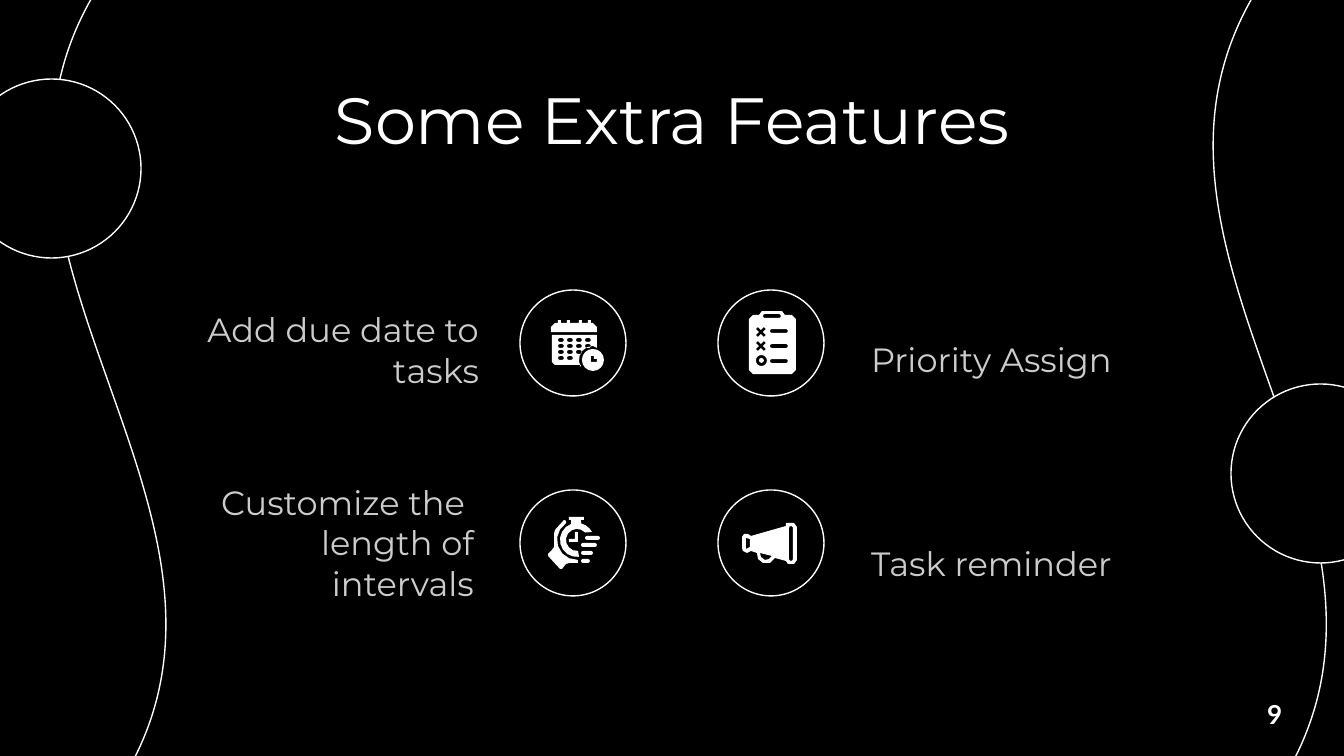
from math import cos, radians, sin

from pptx import Presentation
from pptx.dml.color import RGBColor
from pptx.enum.shapes import MSO_SHAPE as S
from pptx.enum.text import MSO_ANCHOR, MSO_AUTO_SIZE, PP_ALIGN
from pptx.util import Pt

PX = 914400 / 134.4
FINE = 10  # outline steps in one px
WHITE, BLACK, GREY = "FFFFFF", "000000", "CCCCCC"
LEFT, CENTER, RIGHT = PP_ALIGN.LEFT, PP_ALIGN.CENTER, PP_ALIGN.RIGHT

TITLE = ("Some Extra Features", (106, 65, 1133, 85))
CAPTIONS = [
    ("Add due date to tasks", (183, 273, 310, 131), RIGHT),
    ("Priority Assign", (857, 286, 290, 107), LEFT),
    ("Customize the  length of intervals", (196, 507, 292, 110), RIGHT),
    ("Task reminder", (857, 486, 290, 111), LEFT),
]
NUMBER = ("9", (1253, 691, 43, 46))

WAVE = (275, -254, 829, 1278)
BALLS = [(-38, 79, 179, 179), (1231, 384, 179, 179)]
RINGS = [(x, y, 106, 106) for y in (490, 290) for x in (520, 718)]


def arc(x, y, r, start, end, steps):
    """Points along a circle, in degrees clockwise from the right."""
    turns = [radians(start + (end - start) * i / steps)
             for i in range(steps + 1)]
    return [(x + r * cos(t), y + r * sin(t)) for t in turns]


def soft(x, y, w, h, r=None):
    """Outline of a box with round corners, fully round by default."""
    r = min(w, h) / 2 if r is None else r
    steps = 4 if r > 4 else 2
    hubs = [(x + w - r, y + h - r), (x + r, y + h - r),
            (x + r, y + r), (x + w - r, y + r)]
    return [p for i, hub in enumerate(hubs)
            for p in arc(*hub, r, 90 * i, 90 * i + 90, steps)]


def cross(x, y):
    """Outline of an x mark around its centre."""
    return [(x + a, y + b) for a, b in (
        (-3, -5), (0, -2), (3, -5), (5, -3), (2, 0), (5, 3),
        (3, 5), (0, 2), (-3, 5), (-5, 3), (-2, 0), (-5, -3))]


# An icon is a list of parts, a part is a list of outlines: inner ones are holes.
MEGAPHONE = [[
    [(751, 536), (786, 526), (786, 523), (789, 523), (794, 523), (797, 527),
     (797, 560), (794, 564), (788, 564), (786, 561), (775, 558), (770, 563),
     (763, 563), (758, 559), (757, 553), (751, 551), (747, 553), (743, 551),
     (742, 548), (742, 537), (744, 534), (748, 534)],
    [(746, 538), (750, 539), (750, 547), (746, 549)],
    [(760, 553), (772, 556), (769, 559), (765, 560), (761, 557)],
    soft(789, 526, 4, 35),
]]

HUB = (577, 540)
WATCH = [
    [[(569, 520), (569, 517), (584, 517), (584, 520), (581, 520),
      *arc(*HUB, 17, 284, 332, 3), *arc(*HUB, 11, 318, 85, 9),
      *arc(*HUB, 17, 83, 250, 8), (571, 520)]],
    [[(575, 532), (578, 532), (578, 542), (569, 542), (569, 539),
      (575, 539)]],
    *[[soft(x, y, w, 4)] for x, y, w in (
        (585, 536, 15), (581, 543, 16), (581, 551, 12), (581, 559, 9))],
    [[(564, 520), (555, 530), (554, 534), (554, 547), (552, 550),
      (548, 554), (548, 556), (560, 569), (562, 569), (566, 564),
      (570, 563), (578, 563), *arc(*HUB, 20, 88, 237, 6), (566, 521)]],
]

DAYS = [(c, r) for r, n in enumerate((4, 4, 3, 2)) for c in range(n)]
TICKS = [(558, 561), (567, 570), (579, 582), (588, 591)]
CALENDAR = [
    [soft(582, 349, 22, 22),
     [(591, 356), (594, 356), (594, 359), (597, 359), (597, 362),
      (591, 362)]],
    [[(552, 335), (597, 335), (597, 348), *arc(593, 360, 14, 270, 150, 5),
      (581, 365), (555, 365), (552, 362)],
     *[soft(558 + 9 * c, 338 + 6 * r, 6, 4) for c, r in DAYS]],
    [[(551, 332), (551, 327), (555, 323),
      *[p for a, b in TICKS
        for p in ((a, 323), (a, 320), (b, 320), (b, 323))],
      (593, 323), (597, 327), (597, 332)]],
]

CHECKLIST = [
    [[(759, 315), (762, 311), (782, 311), (785, 315), (792, 315), (796, 319),
      (796, 370), (792, 374), (753, 374), (749, 370), (749, 319), (753, 315)],
     soft(763, 314, 18, 4),
     *[soft(770, 329 + 15 * i, 18, 4) for i in range(3)],
     cross(761, 332), cross(761, 346), soft(756, 355, 11, 11)],
    [soft(759, 358, 5, 5)],
]
ICONS = [MEGAPHONE, WATCH, CALENDAR, CHECKLIST]


def rgb(color):
    return RGBColor.from_string(color)


def emu(box):
    return [round(v * PX) for v in box]


def paint(shape, fill, line=None):
    shape.shadow.inherit = False
    shape.fill.solid()
    shape.fill.fore_color.rgb = rgb(fill)
    if line:
        shape.line.color.rgb = rgb(line)
        shape.line.width = Pt(0.75)
    else:
        shape.line.fill.background()
    return shape


def outline(shapes, kind, box):
    return paint(shapes.add_shape(kind, *emu(box)), BLACK, WHITE)


def draw(shapes, part):
    """Add one icon part as a single freeform."""
    rings = [[(round(x * FINE), round(y * FINE)) for x, y in ring]
             for ring in part]
    first, *holes = rings
    path = shapes.build_freeform(*first[0], scale=PX / FINE)
    path.add_line_segments(first[1:], close=True)
    for hole in holes:
        path.move_to(*hole[0])
        path.add_line_segments(hole[1:], close=True)
    paint(path.convert_to_shape(), WHITE)


def write(shape, text, size, color, align=LEFT, anchor=MSO_ANCHOR.TOP,
          font="Montserrat", pad=14, wrap=True):
    frame = shape.text_frame
    frame.text = text
    frame.word_wrap = wrap
    frame.auto_size = MSO_AUTO_SIZE.NONE
    frame.vertical_anchor = anchor
    frame.margin_left = frame.margin_right = round(14 * PX)
    frame.margin_top = frame.margin_bottom = round(pad * PX)
    line = frame.paragraphs[0]
    line.alignment = align
    face = line.runs[0].font
    face.name, face.size, face.color.rgb = font, Pt(size), rgb(color)
    return face


def main():
    deck = Presentation()
    deck.slide_width, deck.slide_height = emu((1344, 756))
    slide = deck.slides.add_slide(deck.slide_layouts[5])
    slide.background.fill.solid()
    slide.background.fill.fore_color.rgb = rgb(BLACK)
    shapes = slide.shapes

    wave = outline(shapes, S.WAVE, WAVE)
    wave.adjustments[0], wave.adjustments[1] = 0.046, 0
    wave.rotation = 270
    wave._element.spPr.xfrm.set("flipH", "1")
    for box in BALLS:
        outline(shapes, S.OVAL, box)

    title = shapes.title
    shapes._spTree.append(title._element)  # in front of the wave
    text, box = TITLE
    title.left, title.top, title.width, title.height = emu(box)
    write(title, text, 35, WHITE, CENTER)
    for text, box, align in CAPTIONS:
        write(shapes.add_textbox(*emu(box)), text, 18, GREY, align,
              MSO_ANCHOR.BOTTOM)

    for ring in RINGS:
        outline(shapes, S.OVAL, ring)
    for icon in ICONS:
        home = shapes.add_group_shape().shapes if len(icon) > 1 else shapes
        for part in icon:
            draw(home, part)

    text, box = NUMBER
    face = write(shapes.add_textbox(*emu(box)), text, 14, WHITE,
                 font="Lato", pad=7, wrap=False)
    face.bold = True
    deck.save("out.pptx")


if __name__ == "__main__":
    main()
